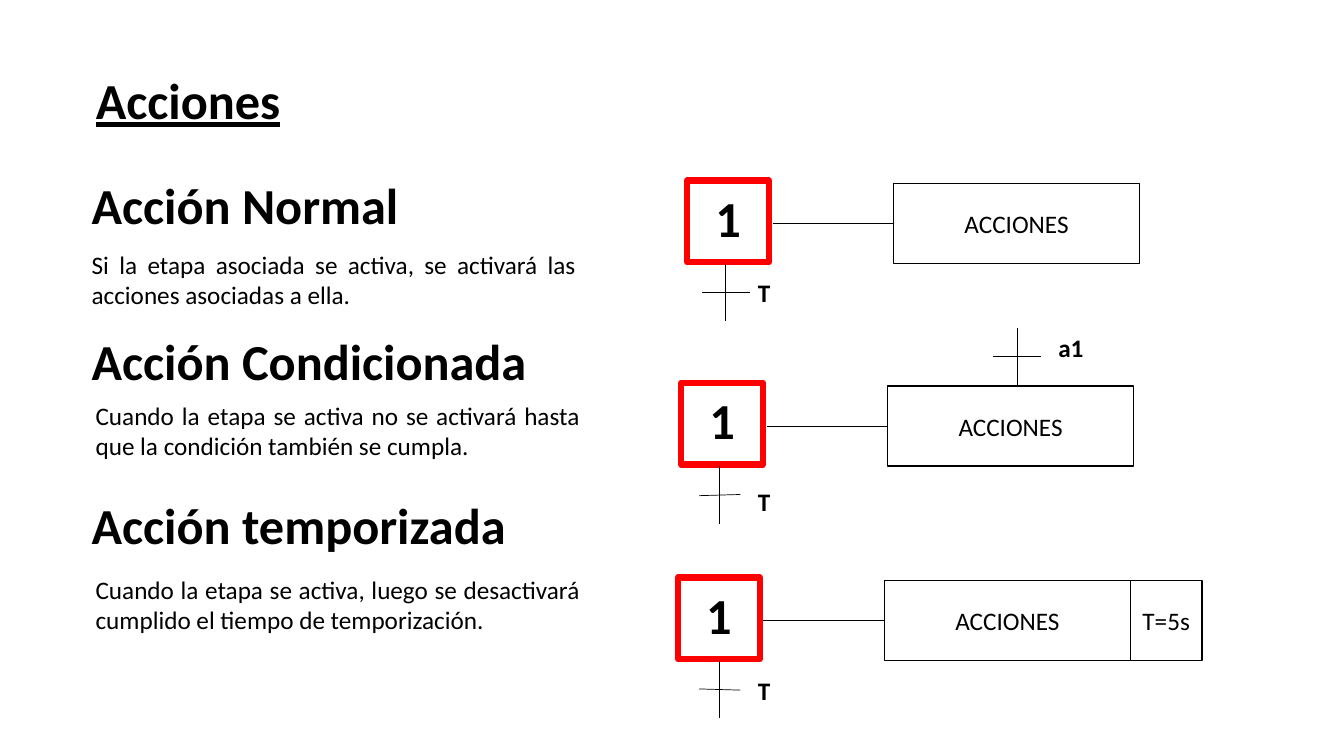
import pptx
import pptx.dml.color
import pptx.enum.shapes
import pptx.enum.text
import pptx.oxml.ns
import pptx.util
from pptx.util import Cm

COLORS = {"ink": "000000", "paper": "FFFFFF", "stage": "FF0000"}
FONT = "Calibri"
ALIGN = pptx.enum.text.PP_ALIGN

# Heading, heading top, description, description left and top (cm)
SECTIONS = [
    ("Acción Normal", 4.27,
     "Si la etapa asociada se activa, se activará las acciones asociadas a ella.",
     2.06, 6.15),
    ("Acción Condicionada", 8.2,
     "Cuando la etapa se activa no se activará hasta que la condición "
     "también se cumpla.", 2.16, 9.96),
    ("Acción temporizada", 12.32,
     "Cuando la etapa se activa, luego se desactivará cumplido el tiempo "
     "de temporización.", 2.16, 14.35),
]

# Stage left and top, transition centre, half bar, bar tilt, label top (cm)
STAGES = [
    (17.32, 4.55, 18.29, 0.6, 0, 6.86),
    (17.17, 9.65, 18.14, 0.52, -0.03, 12.12),
    (17.09, 14.55, 18.14, 0.52, 0.03, 16.89),
]
STAGE_SIDE = 2.06
ACTION_OFFSET = 5.2
ACTION_WIDTH = 6.2
ACTION_HEIGHT = 2.01
TICK_LENGTH = 1.45


def rgb(name):
    """Return the named palette colour."""
    return pptx.dml.color.RGBColor.from_string(COLORS[name])


def write(frame, text, size, align=ALIGN.LEFT, bold=False, underline=False):
    """Write one formatted paragraph into a text frame."""
    frame.text = text
    para = frame.paragraphs[0]
    para.alignment = align
    para.font.name = FONT
    para.font.size = pptx.util.Pt(size)
    para.font.bold = bold
    para.font.underline = underline
    para.font.color.rgb = rgb("ink")


def add_text(slide, left, top, width, height, text, size, wrap=True, **style):
    """Add a text box that grows with its text."""
    box = slide.shapes.add_textbox(Cm(left), Cm(top), Cm(width), Cm(height))
    box.text_frame.word_wrap = wrap
    box.text_frame.auto_size = pptx.enum.text.MSO_AUTO_SIZE.SHAPE_TO_FIT_TEXT
    write(box.text_frame, text, size, **style)


def add_box(slide, left, top, width, height, text, size=18,
            border="ink", weight=1, bold=False):
    """Add an outlined rectangle with centred text and return it."""
    box = slide.shapes.add_shape(
        pptx.enum.shapes.MSO_SHAPE.RECTANGLE,
        Cm(left), Cm(top), Cm(width), Cm(height))
    box.shadow.inherit = False
    box.fill.background()
    box.line.color.rgb = rgb(border)
    box.line.width = pptx.util.Pt(weight)
    box.text_frame.vertical_anchor = pptx.enum.text.MSO_ANCHOR.MIDDLE
    write(box.text_frame, text, size, align=ALIGN.CENTER, bold=bold)
    return box


def add_line(slide, x1, y1, x2, y2):
    """Add a thin straight line without shadow."""
    line = slide.shapes.add_connector(
        pptx.enum.shapes.MSO_CONNECTOR.STRAIGHT, Cm(x1), Cm(y1), Cm(x2), Cm(y2))
    line.line.color.rgb = rgb("ink")
    line.line.width = pptx.util.Pt(0.5)
    properties = line._element.spPr
    properties.append(properties.makeelement(pptx.oxml.ns.qn("a:effectLst"), {}))


def add_transition(slide, center, top, half_bar, tilt=0):
    """Add a vertical line crossed by a short bar."""
    middle = top + TICK_LENGTH / 2
    add_line(slide, center, top, center, top + TICK_LENGTH)
    add_line(slide, center + half_bar, middle + tilt / 2,
             center - half_bar, middle - tilt / 2)


def add_stage(slide, left, top, center, half_bar, tilt, label_top):
    """Add a stage with its action box and outgoing transition."""
    stage = add_box(slide, left, top, STAGE_SIDE, STAGE_SIDE, "1", 36,
                    border="stage", weight=4.5, bold=True)
    stage.text_frame.margin_top = 0
    stage.text_frame.margin_bottom = Cm(0.2)
    action_left = left + ACTION_OFFSET
    add_box(slide, action_left, top + 0.08, ACTION_WIDTH, ACTION_HEIGHT, "ACCIONES")
    add_line(slide, left + 2.15, top + 1.09, action_left, top + 1.09)
    add_transition(slide, center, top + 2.1, half_bar, tilt)
    add_text(slide, 18.85, label_top, 0.81, 1.02, "T", 18, wrap=False, bold=True)


def add_title(slide, text):
    """Place and format the title placeholder."""
    title = slide.shapes.title
    title.left, title.top = Cm(2.16), Cm(1.6)
    title.width, title.height = Cm(13.03), Cm(1.8)
    title.text_frame.auto_size = pptx.enum.text.MSO_AUTO_SIZE.NONE
    write(title.text_frame, text, 36, bold=True, underline=True)


def main():
    """Build the slide about actions and save it."""
    deck = pptx.Presentation()
    deck.slide_width, deck.slide_height = Cm(33.87), Cm(19.05)
    page = deck.slides.add_slide(deck.slide_layouts.get_by_name("Title Only"))
    page.background.fill.solid()
    page.background.fill.fore_color.rgb = rgb("paper")
    add_title(page, "Acciones")
    for heading, heading_top, description, left, top in SECTIONS:
        add_text(page, 2.06, heading_top, 13.03, 1.8, heading, 36, bold=True)
        add_text(page, left, top, 12.7, 1.8, description, 18, align=ALIGN.JUSTIFY)
    for stage in STAGES:
        add_stage(page, *stage)
    # Condition above the second action
    add_transition(page, 25.63, 8.26, 0.6)
    add_text(page, 26.42, 8.26, 1.22, 1.02, "a1", 18, bold=True)
    # Timer beside the third action
    left, top = STAGES[-1][:2]
    timer = add_box(page, left + ACTION_OFFSET + ACTION_WIDTH, top + 0.08,
                    1.8, ACTION_HEIGHT, "T=5s")
    timer.text_frame.margin_left = timer.text_frame.margin_right = Cm(0.1)
    deck.save("out.pptx")


main()
